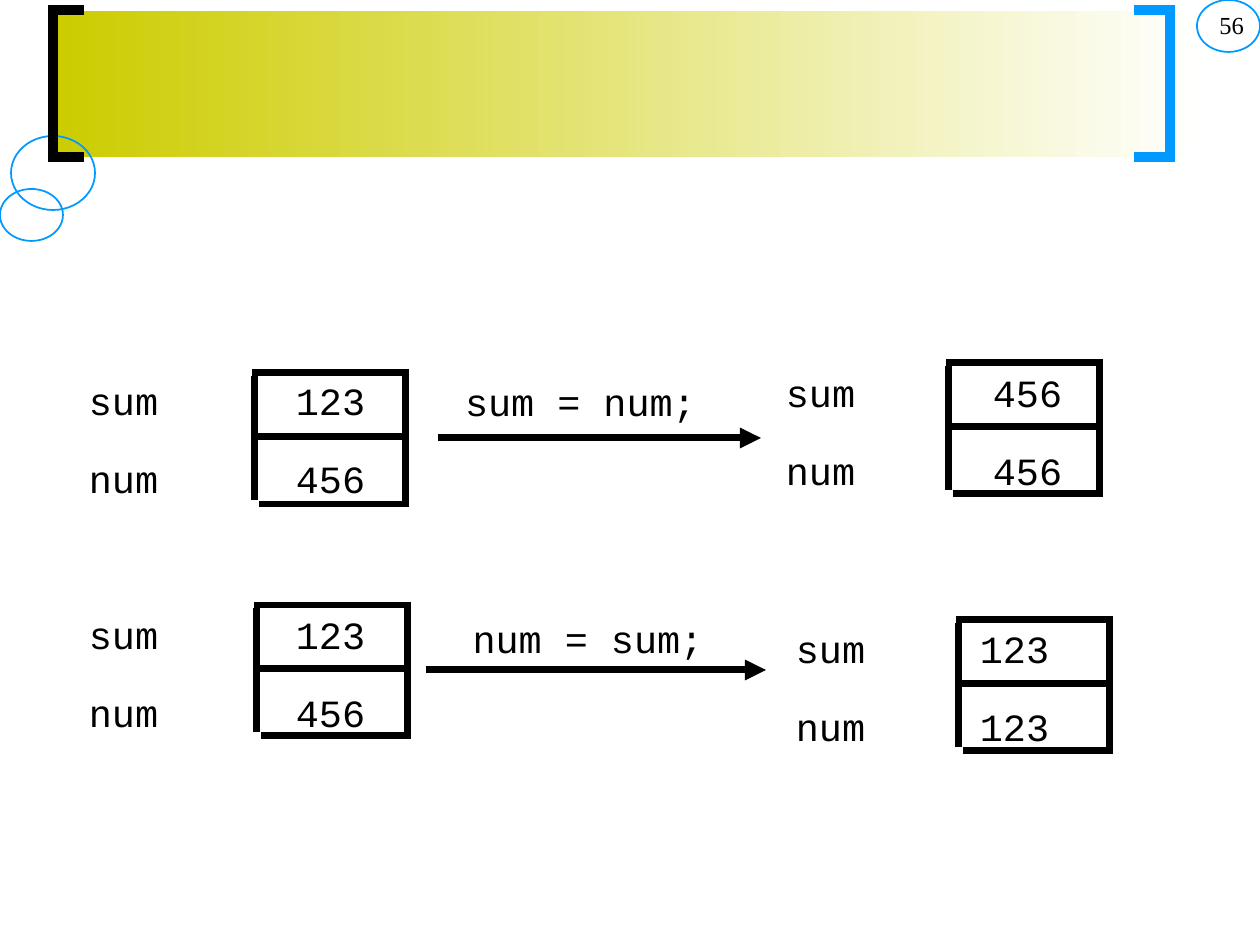
from lxml import etree
from pptx import Presentation
from pptx.dml.color import RGBColor
from pptx.enum.shapes import MSO_CONNECTOR, MSO_SHAPE
from pptx.enum.text import PP_ALIGN
from pptx.oxml.ns import qn
from pptx.util import Pt

STRAIGHT = MSO_CONNECTOR.STRAIGHT
RECTANGLE, OVAL = MSO_SHAPE.RECTANGLE, MSO_SHAPE.OVAL
LEFT, CENTER, RIGHT = PP_ALIGN.LEFT, PP_ALIGN.CENTER, PP_ALIGN.RIGHT
SCALE = 914400 / 126

COLORS = {"ink": "000000", "blue": "0099FF", "olive": "CCCC00", "white": "FFFFFF"}
CODE = {"name": "Courier New", "size": Pt(22)}
NUMBER = {"name": "Times New Roman", "size": Pt(14)}
VARIABLE = {"line_spacing": 1.11, "space_after": Pt(15.4), "alignment": LEFT}
STATEMENT = {"line_spacing": 1.28, "alignment": CENTER}
CORNER = {"space_before": Pt(8.8), "alignment": RIGHT}
TIGHT, LOOSE = (6, 3), (13, 6)

BANNER = (53, 11, 1149, 146)
CIRCLES = [(11, 136, 84, 74), (0, 189, 63, 52), (1197, 0, 63, 52)]
BRACKETS = [
    ("ink", [(84, 157), (53, 157), (53, 10), (84, 10)]),
    ("blue", [(1134, 10), (1170, 10), (1170, 157), (1134, 157)]),
]
MEMORIES = [
    ((83, 369), (255, 373), 207, ("123", "456")),
    ((780, 361), (949, 363), 207, ("456", "456")),
    ((790, 617), (959, 620), 184, ("123", "123")),
    ((83, 603), (257, 605), 207, ("123", "456")),
]
NAMES = ("sum", "num")
CELL_LINES = [
    (0, 3, 0, 127), (4, 131, 148, 131), (151, 134, 151, -3),
    (154, 0, -3, 0), (1, 64, 148, 64),
]
STATEMENTS = [
    ("sum = num;", (409, 362, 343, 64), (438, 438, 761, 438)),
    ("num = sum;", (424, 599, 328, 64), (426, 670, 766, 670)),
]
PAGE_NUMBER = ("56", (995, 4, 262, 63))


def px(*values):
    return [round(value * SCALE) for value in values]


def color(name):
    return RGBColor.from_string(COLORS[name])


def set_line(shape, name, width):
    shape.line.color.rgb = color(name)
    shape.line.width = Pt(width)


def add_line_part(shape, tag, **values):
    etree.SubElement(shape.element.spPr.find(qn("a:ln")), qn(tag), **values)


def add_banner(page):
    banner = page.shapes.add_shape(RECTANGLE, *px(*BANNER))
    banner.shadow.inherit = False
    banner.line.fill.background()
    banner.fill.gradient()
    banner.fill.gradient_angle = 180
    for stop, name in zip(banner.fill.gradient_stops, ("white", "olive")):
        stop.color.rgb = color(name)


def add_outline(shape, name, width):
    shape.shadow.inherit = False
    shape.fill.background()
    set_line(shape, name, width)


def add_bracket(page, name, points):
    builder = page.shapes.build_freeform(*points[0], scale=SCALE)
    builder.add_line_segments(points[1:], close=False)
    bracket = builder.convert_to_shape()
    add_outline(bracket, name, 6)
    add_line_part(bracket, "a:miter", lim="800000")


def add_line(page, ends, arrow=False):
    line = page.shapes.add_connector(STRAIGHT, *px(*ends))
    set_line(line, "ink", 4)
    if arrow:
        add_line_part(line, "a:tailEnd", type="triangle")
    etree.SubElement(line.element.spPr, qn("a:effectLst"))


def add_text(page, place, lines, font, layout, margins, tab=None):
    frame = page.shapes.add_textbox(*px(*place)).text_frame
    frame.word_wrap = True
    frame.margin_left = frame.margin_right = px(margins[0])[0]
    frame.margin_top = frame.margin_bottom = px(margins[1])[0]
    for index, line in enumerate(lines):
        para = frame.add_paragraph() if index else frame.paragraphs[0]
        for key, value in layout.items():
            setattr(para, key, value)
        if tab:
            tabs = etree.SubElement(para._p.get_or_add_pPr(), qn("a:tabLst"))
            etree.SubElement(tabs, qn("a:tab"), pos=str(px(tab)[0]), algn="l")
        span = para.add_run()
        span.text = line
        span.font.color.rgb = color("ink")
        for key, value in font.items():
            setattr(span.font, key, value)


def add_memory(page, corner, cells, tab, values):
    lines = [f"{name}\t{value}" for name, value in zip(NAMES, values)]
    add_text(page, (*corner, 330, 135), lines, CODE, VARIABLE, TIGHT, tab)
    left, top = cells
    for x1, y1, x2, y2 in CELL_LINES:
        add_line(page, (left + x1, top + y1, left + x2, top + y2))


def main():
    deck = Presentation()
    deck.slide_width, deck.slide_height = px(1260, 945)
    page = deck.slides.add_slide(deck.slide_layouts[6])
    add_banner(page)
    for circle in CIRCLES:
        add_outline(page.shapes.add_shape(OVAL, *px(*circle)), "blue", 1)
    for name, points in BRACKETS:
        add_bracket(page, name, points)
    for memory in MEMORIES:
        add_memory(page, *memory)
    for text, place, arrow in STATEMENTS:
        add_text(page, place, [text], CODE, STATEMENT, TIGHT)
        add_line(page, arrow, arrow=True)
    number, place = PAGE_NUMBER
    add_text(page, place, [number], NUMBER, CORNER, LOOSE)
    deck.save("out.pptx")


if __name__ == "__main__":
    main()
